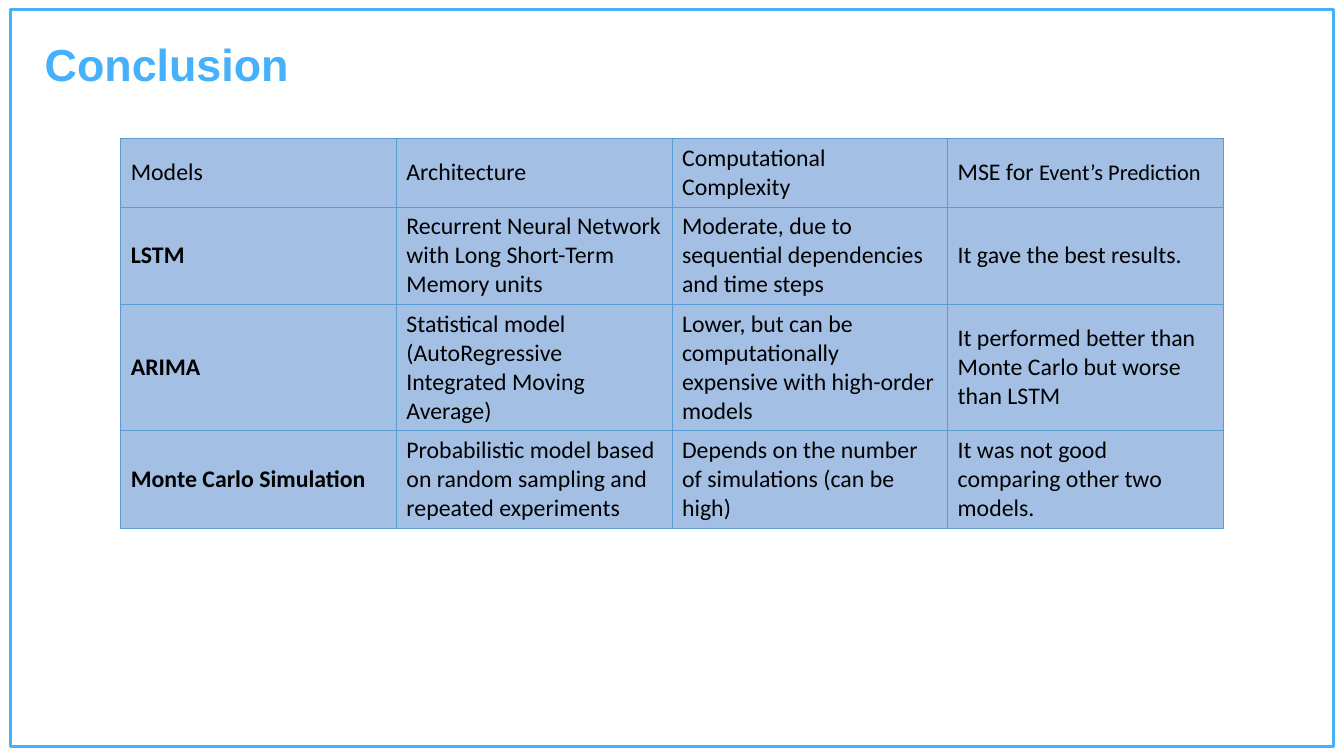
from lxml import etree
from pptx import Presentation
from pptx.dml.color import RGBColor
from pptx.enum.shapes import MSO_SHAPE
from pptx.enum.text import MSO_ANCHOR, PP_ALIGN
from pptx.oxml.ns import qn
from pptx.util import Pt

PX = 9525
RECTANGLE = MSO_SHAPE.RECTANGLE
MIDDLE = MSO_ANCHOR.MIDDLE
LEFT = PP_ALIGN.LEFT
FRAME_BLUE = RGBColor(0x46, 0xB0, 0xF9)
TITLE_BLUE = RGBColor(0x46, 0xB0, 0xFA)
CELL_BLUE = RGBColor(0xA3, 0xC0, 0xE4)
BORDER_BLUE = RGBColor(0x5B, 0x9B, 0xD5)
BLACK = RGBColor(0, 0, 0)

ROW_HEIGHTS = [64, 91, 119, 91]
METRIC_DETAIL = "Event’s Prediction"
MODELS = [
    ["Models", "Architecture", "Computational Complexity", "MSE for "],
    ["LSTM", "Recurrent Neural Network with Long Short-Term Memory units",
     "Moderate, due to sequential dependencies and time steps",
     "It gave the best results."],
    ["ARIMA", "Statistical model (AutoRegressive Integrated Moving Average)",
     "Lower, but can be computationally expensive with high-order models",
     "It performed better than Monte Carlo but worse than LSTM"],
    ["Monte Carlo Simulation",
     "Probabilistic model based on random sampling and repeated experiments",
     "Depends on the number of simulations (can be high)",
     "It was not good comparing other two models."],
]


def emu(box):
    """Turn a box in px into EMU lengths."""
    return [length * PX for length in box]


def style_run(run, font_name, size, color, bold=False):
    """Set the font of one run."""
    run.font.name = font_name
    run.font.size = Pt(size)
    run.font.color.rgb = color
    run.font.bold = bold


def add_border(slide, box):
    """Draw the thin border behind everything else."""
    border = slide.shapes.add_shape(RECTANGLE, *emu(box))
    border.shadow.inherit = False
    border.fill.background()
    border.line.color.rgb = FRAME_BLUE
    border.line.width = Pt(2.25)
    slide.shapes._spTree.insert(2, border._element)


def add_heading(slide, box):
    """Place and format the slide title."""
    heading = slide.shapes.title
    heading.left, heading.top, heading.width, heading.height = emu(box)
    heading.text_frame.text = "Conclusion"
    heading.text_frame.vertical_anchor = MIDDLE
    paragraph = heading.text_frame.paragraphs[0]
    paragraph.alignment = LEFT
    style_run(paragraph.runs[0], "Arial", 32, TITLE_BLUE, True)


def outline_cell(cell):
    """Give all four sides of a cell a thin blue line."""
    properties = cell._tc.get_or_add_tcPr()
    for position, side in enumerate(("a:lnL", "a:lnR", "a:lnT", "a:lnB")):
        line = etree.Element(qn(side), w=str(Pt(0.5)))
        solid = etree.SubElement(line, qn("a:solidFill"))
        etree.SubElement(solid, qn("a:srgbClr"), val=str(BORDER_BLUE))
        properties.insert(position, line)


def add_comparison(slide, box):
    """Fill the box with the table that compares the models."""
    comparison = slide.shapes.add_table(len(MODELS), len(MODELS[0]), *emu(box)).table
    comparison.first_row = comparison.horz_banding = False
    for row, height in zip(comparison.rows, ROW_HEIGHTS):
        row.height = height * PX
    for row_index, texts in enumerate(MODELS):
        for column_index, text in enumerate(texts):
            cell = comparison.cell(row_index, column_index)
            cell.text_frame.text = text
            cell.vertical_anchor = MIDDLE
            cell.fill.solid()
            cell.fill.fore_color.rgb = CELL_BLUE
            outline_cell(cell)
            is_model_name = row_index > 0 and column_index == 0
            style_run(cell.text_frame.paragraphs[0].runs[0],
                      "Calibri", 17, BLACK, is_model_name)
    metric = comparison.cell(0, 3).text_frame.paragraphs[0].add_run()
    metric.text = METRIC_DETAIL
    style_run(metric, "Calibri", 16, BLACK)


def main():
    """Build and save the conclusion slide."""
    presentation = Presentation()
    presentation.slide_width, presentation.slide_height = emu((1280, 720))
    slide = presentation.slides.add_slide(presentation.slide_layouts[5])
    add_border(slide, (10, 9, 1260, 702))
    add_heading(slide, (33, 30, 640, 61))
    add_comparison(slide, (115, 132, 1050, sum(ROW_HEIGHTS)))
    presentation.save("out.pptx")


if __name__ == "__main__":
    main()
